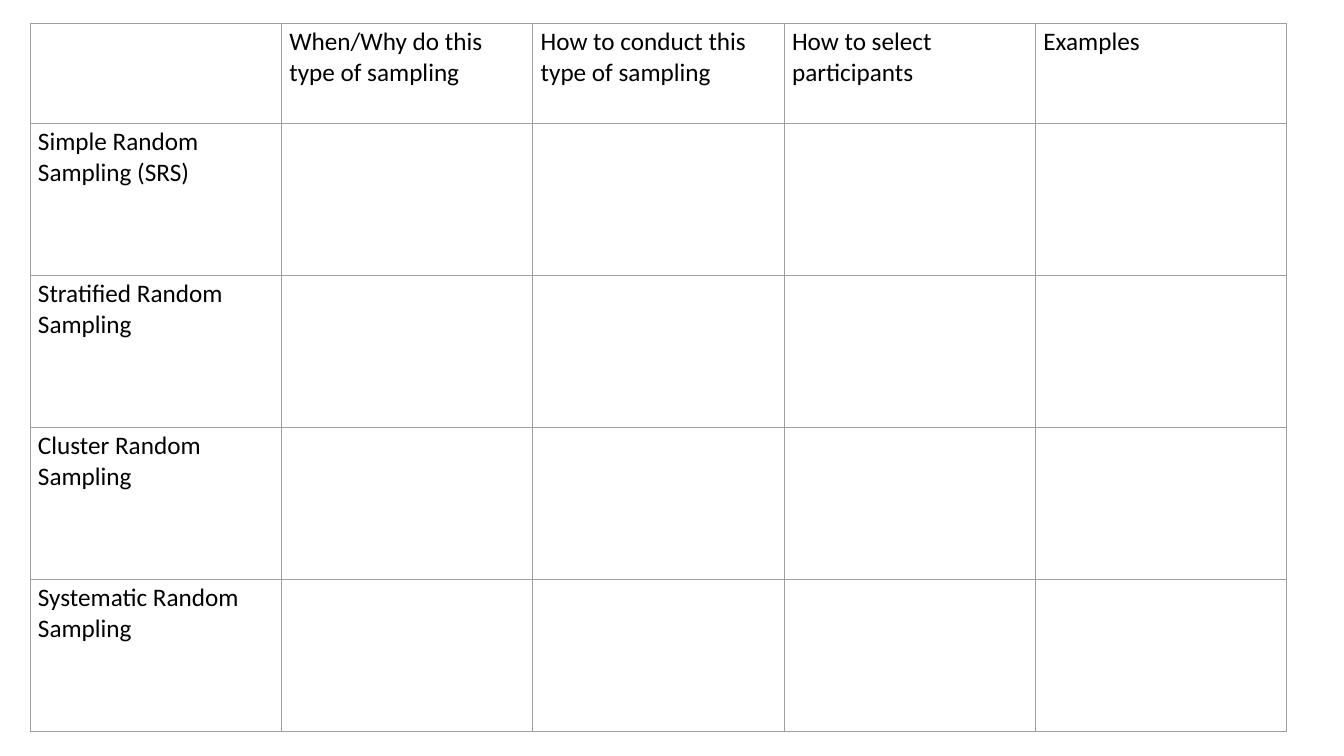
from lxml.etree import SubElement
from pptx import Presentation
from pptx.dml.color import RGBColor
from pptx.oxml.ns import qn
from pptx.util import Pt

HEADINGS = [
    "",
    "When/Why do this type of sampling",
    "How to conduct this type of sampling",
    "How to select participants",
    "Examples",
]
METHODS = [
    "Simple Random Sampling (SRS)",
    "Stratified Random Sampling",
    "Cluster Random Sampling",
    "Systematic Random Sampling",
]

FONT_NAME, FONT_SIZE = "Calibri", 18
TEXT_COLOUR, BORDER_COLOUR = "000000", "9E9E9E"
BORDER_WIDTH = 0.6

# Lengths in px
PX_PER_INCH = 100.8
SLIDE_WIDTH, SLIDE_HEIGHT = 1344, 756
TABLE_LEFT, TABLE_TOP, TABLE_WIDTH = 30, 23, 1257
HEADING_HEIGHT, METHOD_HEIGHT = 100, 152
MARGIN_X, MARGIN_Y = 8, 4


def px(length):
    return round(length * 914400 / PX_PER_INCH)


def colour(hex_string):
    return RGBColor.from_string(hex_string)


def add_borders(cell):
    """Draw all four cell edges; they must precede the fill in tcPr."""
    properties = cell._tc.get_or_add_tcPr()
    for position, edge in enumerate(("lnL", "lnR", "lnT", "lnB")):
        line = SubElement(properties, qn(f"a:{edge}"), w=str(int(Pt(BORDER_WIDTH))))
        solid = SubElement(line, qn("a:solidFill"))
        SubElement(solid, qn("a:srgbClr"), val=BORDER_COLOUR)
        properties.insert(position, line)


def format_cell(cell, text):
    cell.margin_left = cell.margin_right = px(MARGIN_X)
    cell.margin_top = cell.margin_bottom = px(MARGIN_Y)
    cell.fill.background()
    add_borders(cell)
    if text:
        run = cell.text_frame.paragraphs[0].add_run()
        run.text = text
        run.font.name = FONT_NAME
        run.font.size = Pt(FONT_SIZE)
        run.font.color.rgb = colour(TEXT_COLOUR)


def add_sampling_table(slide):
    blanks = [""] * (len(HEADINGS) - 1)
    rows = [HEADINGS] + [[method] + blanks for method in METHODS]
    heights = [HEADING_HEIGHT] + [METHOD_HEIGHT] * len(METHODS)
    table = slide.shapes.add_table(
        len(rows), len(HEADINGS),
        px(TABLE_LEFT), px(TABLE_TOP), px(TABLE_WIDTH), px(sum(heights)),
    ).table
    table.first_row = table.horz_banding = False
    for column in table.columns:
        column.width = px(TABLE_WIDTH / len(HEADINGS))
    for row, height, texts in zip(table.rows, heights, rows):
        row.height = px(height)
        for cell, text in zip(row.cells, texts):
            format_cell(cell, text)


def main():
    presentation = Presentation()
    presentation.slide_width = px(SLIDE_WIDTH)
    presentation.slide_height = px(SLIDE_HEIGHT)
    blank_layout = presentation.slide_layouts[6]
    slide = presentation.slides.add_slide(blank_layout)
    add_sampling_table(slide)
    presentation.save("out.pptx")


if __name__ == "__main__":
    main()
